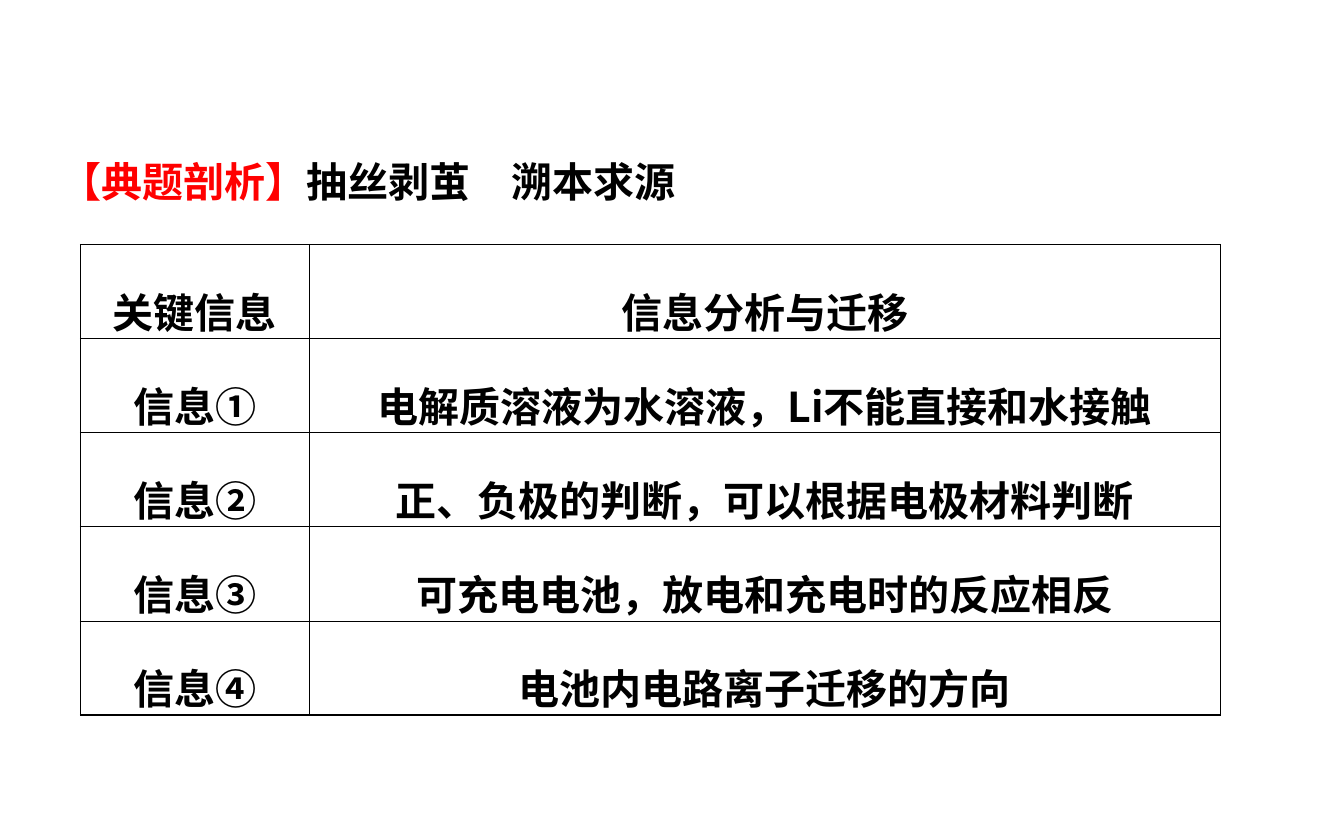
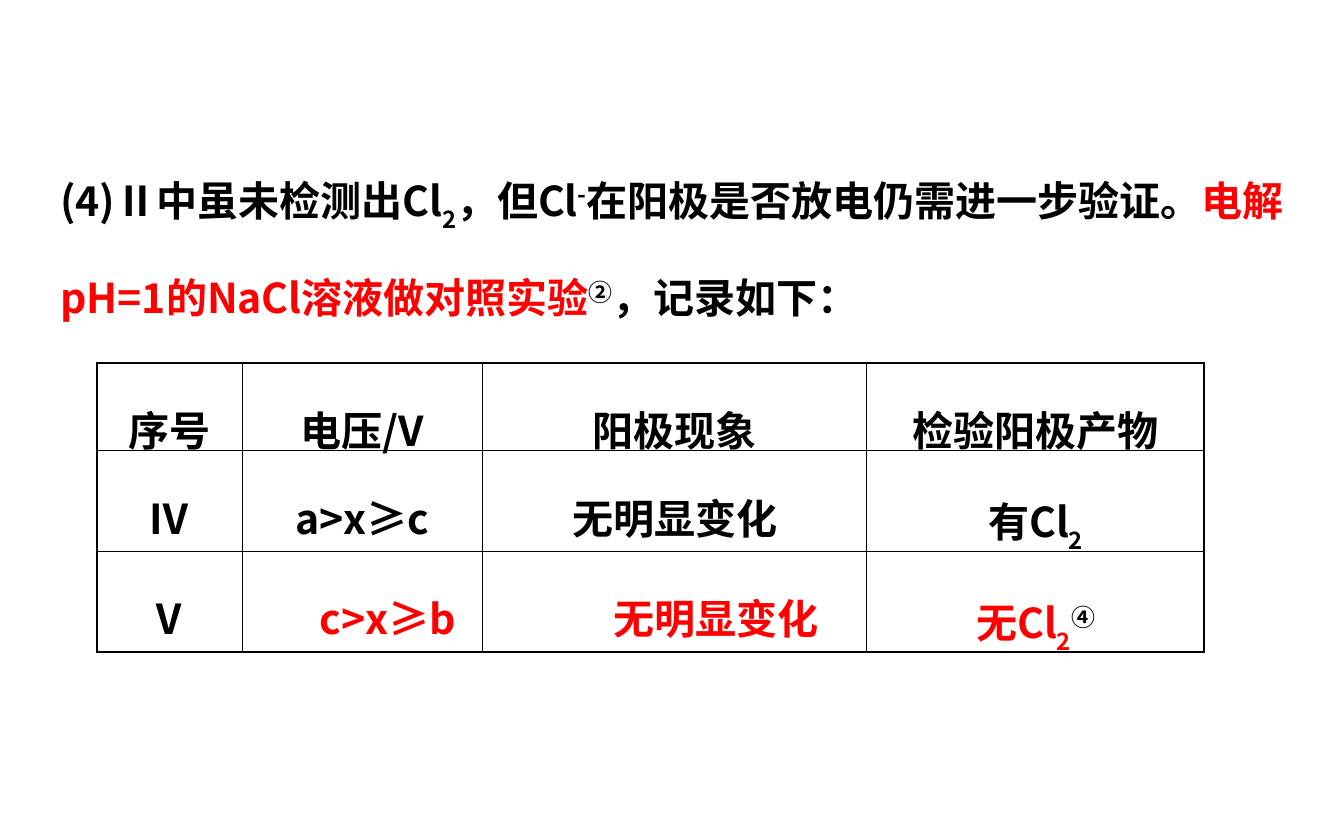
from dataclasses import dataclass

from lxml import etree
from pptx import Presentation
from pptx import util as u
from pptx.dml.color import RGBColor
from pptx.enum import text
from pptx.oxml import ns

FONT = "Noto Sans CJK SC"
BLACK, RED = "000000", "FF0000"
SUB, SUPER = -30000, 30000
OUTER_LINE, INNER_LINE = u.Pt(0.96), u.Pt(0.45)
TITLE_ONLY, BLANK = 5, 6


@dataclass(frozen=True)
class Span:
    words: str
    color: str = BLACK
    baseline: int = 0


@dataclass(frozen=True)
class Line:
    """One paragraph of spans; indent is in inches."""
    spans: tuple[Span, ...]
    indent: float = 0


@dataclass(frozen=True)
class Grid:
    left: float
    top: float
    columns: tuple[float, ...]
    heights: tuple[float, ...]
    rows: tuple[tuple[Line, ...], ...]


def plain(words: str, color: str = BLACK, indent: float = 0) -> Line:
    return Line((Span(words, color),), indent)


def rgb(color: str) -> RGBColor:
    return RGBColor.from_string(color)


def write(frame, line: Line, spacing: float, align) -> None:
    para = frame.paragraphs[0]
    para.alignment = align
    para.line_spacing = spacing
    if line.indent:
        para._p.get_or_add_pPr().set("marL", str(u.Inches(line.indent)))
    para.font.name, para.font.size, para.font.bold = FONT, u.Pt(22), True
    for span in line.spans:
        run = para.add_run()
        run.text = span.words
        run.font.color.rgb = rgb(span.color)
        if span.baseline:
            run.font._element.set("baseline", str(span.baseline))
    for fonts in [para.font._element] + [run.font._element for run in para.runs]:
        etree.SubElement(fonts, ns.qn("a:ea"), typeface=FONT)


def write_heading(box, top: float, height: float, line: Line) -> None:
    box.left, box.top = u.Inches(0.35), u.Inches(top)
    box.width, box.height = u.Inches(9.43), u.Inches(height)
    frame = box.text_frame
    frame.word_wrap = True
    frame.auto_size = text.MSO_AUTO_SIZE.SHAPE_TO_FIT_TEXT
    frame.vertical_anchor = text.MSO_ANCHOR.TOP
    write(frame, line, 1.8, text.PP_ALIGN.LEFT)


def draw_borders(cell, outer_sides: dict[str, bool]) -> None:
    """Rule all four sides, heavier on the edge of the table."""
    properties = cell._tc.get_or_add_tcPr()
    for side, outer in outer_sides.items():
        width = OUTER_LINE if outer else INNER_LINE
        rule = etree.SubElement(properties, ns.qn(f"a:ln{side}"), w=str(width))
        fill = etree.SubElement(rule, ns.qn("a:solidFill"))
        etree.SubElement(fill, ns.qn("a:srgbClr"), val=BLACK)


def add_grid(page, grid: Grid) -> None:
    last_row, last_column = len(grid.rows) - 1, len(grid.columns) - 1
    table = page.shapes.add_table(
        len(grid.rows), len(grid.columns), u.Inches(grid.left), u.Inches(grid.top),
        u.Inches(sum(grid.columns)), u.Inches(sum(grid.heights))).table
    table.first_row = table.horz_banding = False
    for column, width in zip(table.columns, grid.columns):
        column.width = u.Inches(width)
    for row, height in zip(table.rows, grid.heights):
        row.height = u.Inches(height)
    for r, lines in enumerate(grid.rows):
        for c, line in enumerate(lines):
            cell = table.cell(r, c)
            cell.vertical_anchor = text.MSO_ANCHOR.MIDDLE
            draw_borders(cell, {"L": c == 0, "R": c == last_column,
                                "T": r == 0, "B": r == last_row})
            cell.fill.background()
            write(cell.text_frame, line, 1.5, text.PP_ALIGN.CENTER)


KEY_POINTS = Grid(0.6, 1.82, (1.7, 6.78), (0.7,) * 5, (
    (plain("关键信息"), plain("信息分析与迁移")),
    (plain("信息①"), plain("电解质溶液为水溶液，Li不能直接和水接触")),
    (plain("信息②"), plain("正、负极的判断，可以根据电极材料判断")),
    (plain("信息③"), plain("可充电电池，放电和充电时的反应相反")),
    (plain("信息④"), plain("电池内电路离子迁移的方向")),
))

EXPERIMENT = Line((
    Span("(4)Ⅱ中虽未检测出Cl"), Span("2", baseline=SUB),
    Span("，但Cl"), Span("-", baseline=SUPER),
    Span("在阳极是否放电仍需进一步验证。"),
    Span("电解pH=1的NaCl溶液做对照实验", RED),
    Span("②", baseline=SUPER), Span("，记录如下："),
))

RECORDS = Grid(0.72, 2.7, (1.08, 1.79, 2.86, 2.51), (0.65, 0.75, 0.75), (
    (plain("序号"), plain("电压/V"), plain("阳极现象"), plain("检验阳极产物")),
    (plain("Ⅳ"), plain("a>x≥c"), plain("无明显变化"),
     Line((Span("有Cl"), Span("2", baseline=SUB)))),
    (plain("Ⅴ"), plain("c>x≥b", RED, 0.38), plain("无明显变化", RED, 0.61),
     Line((Span("无Cl", RED), Span("2", RED, SUB), Span("④", baseline=SUPER)))),
))


def main() -> None:
    deck = Presentation()
    deck.slide_width, deck.slide_height = u.Inches(10), u.Inches(6.25)

    page = deck.slides.add_slide(deck.slide_layouts[TITLE_ONLY])
    write_heading(page.shapes.title, 0.82, 0.76, Line(
        (Span("【典题剖析】", RED), Span("抽丝剥茧　溯本求源"))))
    add_grid(page, KEY_POINTS)

    page = deck.slides.add_slide(deck.slide_layouts[BLANK])
    write_heading(page.shapes.add_textbox(0, 0, 0, 0), 0.91, 1.54, EXPERIMENT)
    add_grid(page, RECORDS)

    deck.save("out.pptx")


if __name__ == "__main__":
    main()
